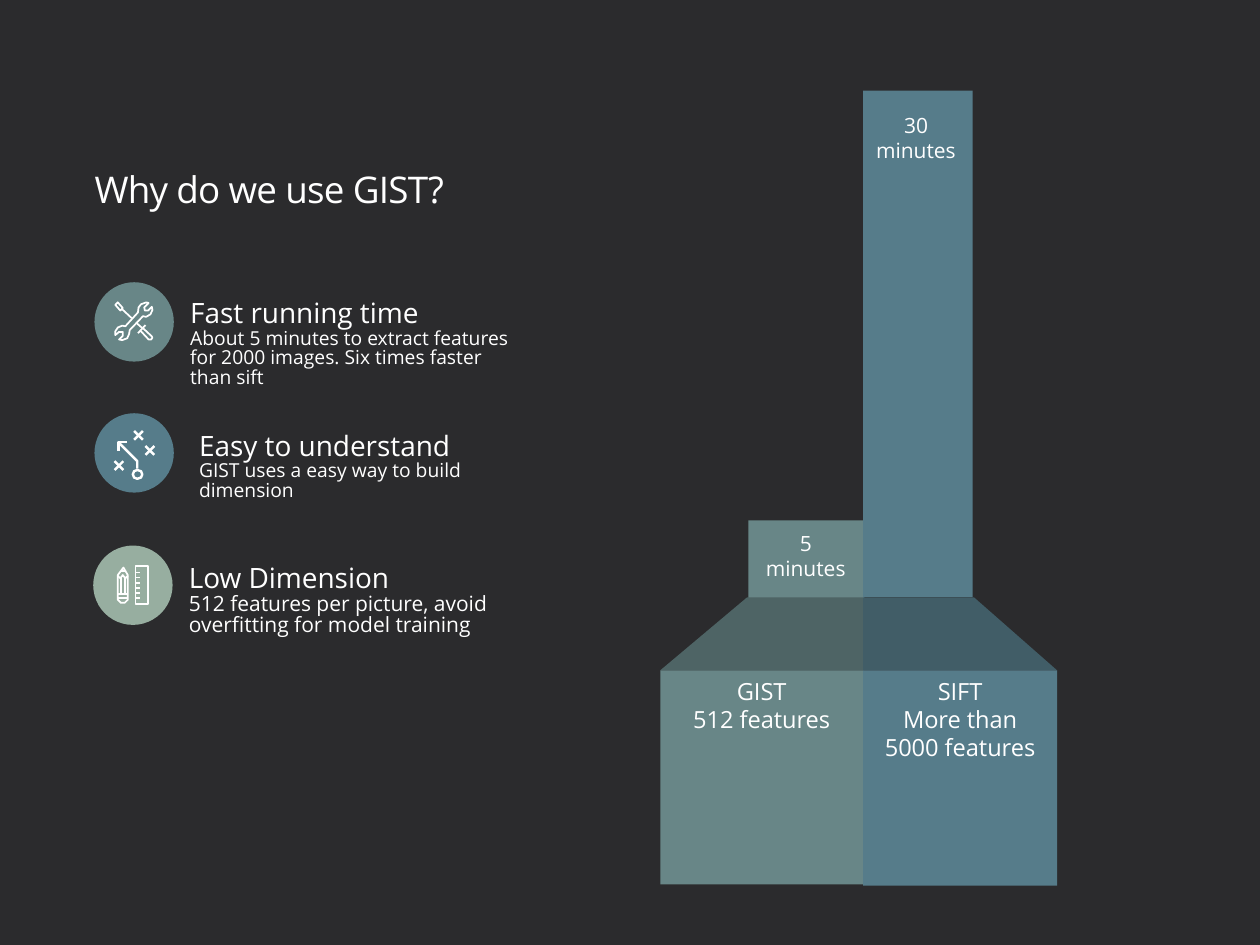
from pptx import Presentation
from pptx.dml.color import RGBColor
from pptx.enum import shapes, text
from pptx.util import Inches, Pt

THEME = {
    "font": "Open Sans", "white": "FFFFFF", "background": "2B2B2D",
    "gist": "688687", "sift": "567C8A", "sage": "97AEA0",
    "gist_dark": "4E6465", "sift_dark": "415D67",
    "title": 21, "heading": 16, "base": 13.5, "label": 12, "detail": 11,
}
RECTANGLE, OVAL = shapes.MSO_SHAPE.RECTANGLE, shapes.MSO_SHAPE.OVAL
LEFT, CENTER = text.PP_ALIGN.LEFT, text.PP_ALIGN.CENTER


def paint(shape, color):
    """Give a shape a flat theme fill without outline or shadow."""
    shape.shadow.inherit = False
    shape.fill.solid()
    shape.fill.fore_color.rgb = RGBColor.from_string(THEME[color])
    shape.line.fill.background()


def write(box, lines, sizes, align, spacing=None, inset=None, anchor=text.MSO_ANCHOR.TOP):
    """Fill a box with one paragraph a line and format each run."""
    frame = box.text_frame
    frame.text = "\n".join(lines)
    frame.word_wrap = True
    frame.vertical_anchor = anchor
    if inset is not None:
        frame.margin_left = frame.margin_right = 0
        frame.margin_top = frame.margin_bottom = Inches(inset)
    for para, size in zip(frame.paragraphs, sizes):
        para.alignment = align
        para.line_spacing = spacing
        for span in para.runs:
            span.font.name = THEME["font"]
            span.font.size = Pt(THEME[size])
            span.font.color.rgb = RGBColor.from_string(THEME["white"])


deck = Presentation()
deck.slide_width, deck.slide_height = Inches(10), Inches(7.5)
page = deck.slides.add_slide(deck.slide_layouts[5])
page.background.fill.solid()
page.background.fill.fore_color.rgb = RGBColor.from_string(THEME["background"])

title = page.shapes.title
title.left, title.top, title.width, title.height = map(Inches, (0.75, 1.19, 8.5, 0.67))
write(title, ["Why do we use GIST?"], ["title"], LEFT, 0.86, 0, text.MSO_ANCHOR.MIDDLE)
title.text_frame.auto_size = text.MSO_AUTO_SIZE.NONE
title.text_frame.paragraphs[0].runs[0].font._element.set("spc", "-40")

# Running time columns, slopes and feature bases
middle, floor, base_top = 6.85, 4.74, 5.32
columns = [
    ("gist", 5.94, 4.13, 0.92, 0.67),
    ("sift", middle, 0.72, 0.87, 4.02),
]
for color, *area in columns:
    paint(page.shapes.add_shape(RECTANGLE, *map(Inches, area)), color)

slopes = [("gist_dark", 5.93, 5.24), ("sift_dark", 7.73, 8.39)]
for color, upper, lower in slopes:
    builder = page.shapes.build_freeform(Inches(middle), Inches(floor))
    corners = [(middle, base_top), (lower, base_top), (upper, floor)]
    builder.add_line_segments([(Inches(x), Inches(y)) for x, y in corners], close=True)
    paint(builder.convert_to_shape(), color)

bases = [
    ("gist", 5.24, 1.61, 1.70, ["GIST", "512 features"]),
    ("sift", middle, 1.54, 1.71, ["SIFT", "More than 5000 features"]),
]
for color, left, width, height, lines in bases:
    base = page.shapes.add_shape(RECTANGLE, *map(Inches, (left, base_top, width, height)))
    paint(base, color)
    write(base, lines, ["base"] * 2, CENTER)

times = [
    (6.07, 4.21, 0.65, ["5 minutes"]),
    (6.93, 0.89, 0.68, ["30", "minutes"]),
]
for left, top, width, lines in times:
    label = page.shapes.add_textbox(*map(Inches, (left, top, width, 0.4)))
    write(label, lines, ["label"] * 2, CENTER, inset=0, anchor=text.MSO_ANCHOR.MIDDLE)

# Icon strokes in hundredths of an inch from the corner of the disc
tools = [
    [(34.5, 24), (35, 20), (37, 17.5), (41, 16), (43, 16.5), (39.5, 20), (40, 22.5),
     (42.5, 22.5), (45.5, 19.5), (46, 22), (44.5, 25.5), (41, 27.5), (38.5, 27),
     (28, 38), (27.5, 41), (26, 44.5), (22, 46), (19.5, 45.5), (22.5, 42.5),
     (22.5, 39.5), (19.5, 39.5), (16.5, 42), (16.5, 39), (18.5, 36), (22, 34.5),
     (24.5, 35), (34.5, 24)],
    [(16.5, 18), (18.5, 16), (22.5, 20.5), (20.5, 22.5), (16.5, 18)],
    [(21.5, 21), (29.5, 28.5)],
    [(33.5, 32.5), (38, 36.5)],
    [(34.5, 40.5), (40.5, 34)],
    [(36.5, 38.5), (43, 45.5), (45, 45.5), (46, 44), (45.5, 43), (38.5, 36.5)],
]
strategy = [
    [(34, 44), (34, 38), (19, 23)],
    [(26, 23), (19, 23), (19, 30)],
    [(34, 45), (37, 46), (38, 48.5), (37, 51), (34, 52), (31.5, 51),
     (30.5, 48.5), (31.5, 46), (34, 45)],
]
for x, y in [(19.5, 41.5), (44, 29.5), (35, 17.5)]:
    strategy += [[(x - 3.5, y - 3.5), (x + 3.5, y + 3.5)],
                 [(x - 3.5, y + 3.5), (x + 3.5, y - 3.5)]]
drawing = [
    [(33.5, 16.5), (43.5, 16.5), (43.5, 46.5), (33.5, 46.5), (33.5, 16.5)],
    [(24, 17.5), (19.5, 23.5), (19.5, 43), (22, 45.5), (25, 45.5), (27.5, 43),
     (27.5, 23.5), (24, 17.5)],
    [(19.5, 24), (21.5, 26), (23.5, 23.5), (25.5, 26), (27.5, 24)],
    [(22, 20.5), (25.5, 20.5)],
]
drawing += [[(34, 21.5 + 4 * i), (37, 21.5 + 4 * i)] for i in range(6)]
drawing += [[(19.5, y), (27.5, y)] for y in (38.5, 41.5)]
drawing += [[(x, 26), (x, 38)] for x in (22, 25)]

reasons = [
    (0.75, 2.24, "gist", tools, 1, 1.51, 2.34, "detail", "Fast running time",
     "About 5 minutes to extract features for 2000 images. Six times faster than sift"),
    (0.75, 3.28, "sift", strategy, 1.4, 1.58, 3.39, "detail", "Easy to understand",
     "GIST uses a easy way to build dimension"),
    (0.74, 4.33, "sage", drawing, 1, 1.50, 4.44, "label", "Low Dimension",
     "512 features per picture, avoid overfitting for model training"),
]
for left, top, color, strokes, weight, text_left, text_top, size, heading, detail in reasons:
    group = page.shapes.add_group_shape()
    paint(group.shapes.add_shape(OVAL, *map(Inches, (left, top, 0.63, 0.63))), color)

    builder = group.shapes.build_freeform(*[Inches(v / 100) for v in strokes[0][0]])
    for stroke in strokes:
        start, *others = [(Inches(x / 100), Inches(y / 100)) for x, y in stroke]
        builder.move_to(*start)
        builder.add_line_segments(others, close=stroke[0] == stroke[-1])
    icon = builder.convert_to_shape(Inches(left), Inches(top))
    icon.shadow.inherit = False
    icon.fill.background()
    icon.line.color.rgb = RGBColor.from_string(THEME["white"])
    icon.line.width = Pt(weight)

    box = group.shapes.add_textbox(*map(Inches, (text_left, text_top, 2.53, 0.64)))
    write(box, [heading, detail], ["heading", size], LEFT, 0.85, 0.05)

deck.save("out.pptx")
